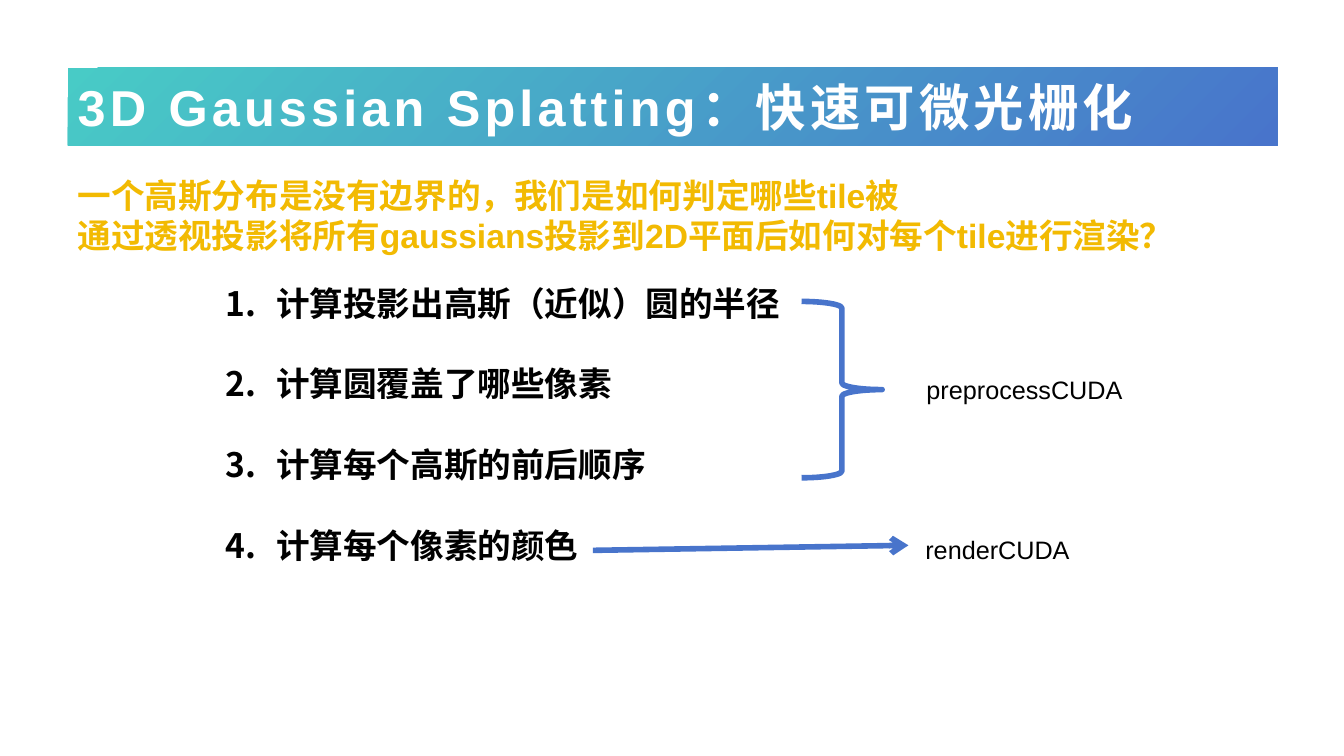
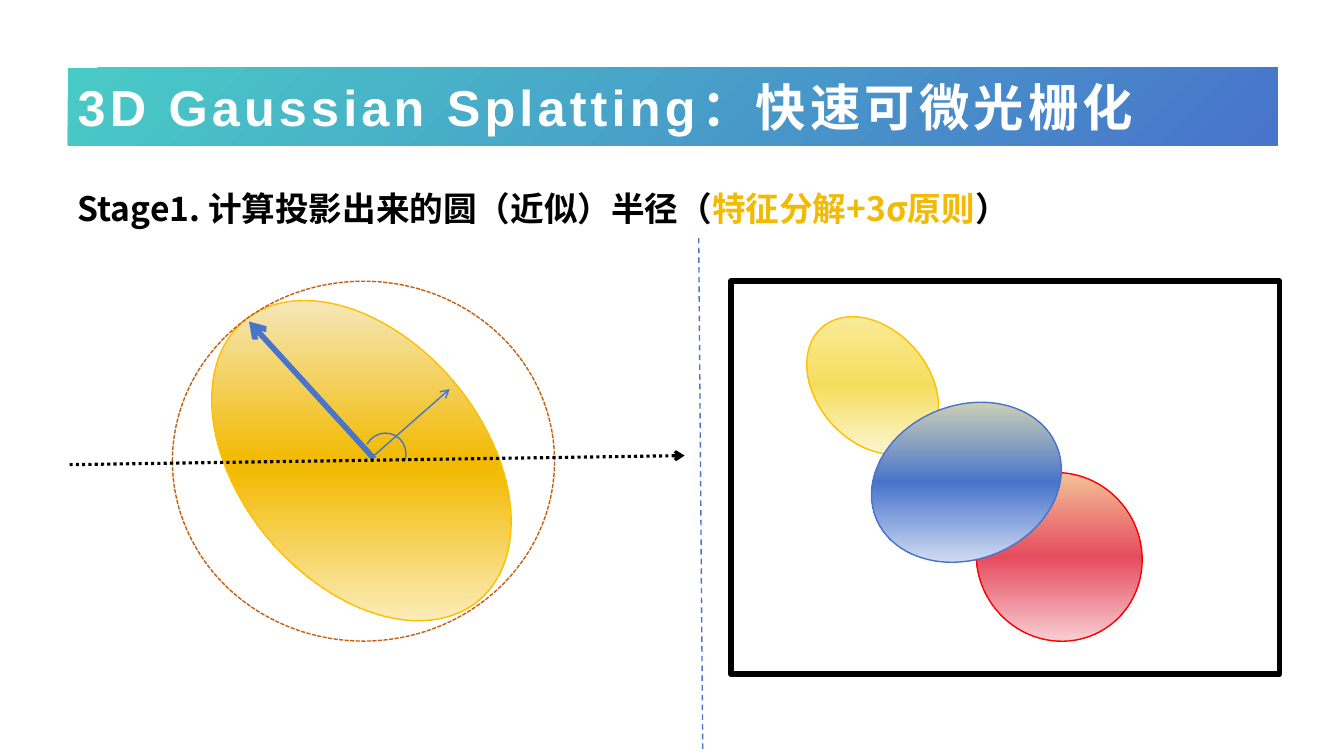
"""Build two slides on fast differentiable rasterization in 3D Gaussian Splatting."""
import pptx
import pptx.util
import lxml.etree
from pptx.dml.color import RGBColor
from pptx.enum.dml import MSO_LINE
from pptx.enum.shapes import MSO_CONNECTOR, MSO_SHAPE
from pptx.enum.text import MSO_ANCHOR, PP_ALIGN
from pptx.oxml.ns import qn
from pptx.util import Inches, Pt

BLACK = RGBColor(0x00, 0x00, 0x00)
WHITE = RGBColor(0xFF, 0xFF, 0xFF)
BLUE = RGBColor(0x48, 0x74, 0xCB)
TEAL = RGBColor(0x48, 0xCB, 0xC6)
GOLD = RGBColor(0xF2, 0xBA, 0x02)
AMBER = RGBColor(0xFF, 0xC0, 0x00)
RED = RGBColor(0xFF, 0x00, 0x00)
ROSE = RGBColor(0xE5, 0x4C, 0x5E)
BROWN = RGBColor(0xC6, 0x5F, 0x10)
CREAM = RGBColor(0xFA, 0xEF, 0xAE)
LEMON = RGBColor(0xF5, 0xDE, 0x5D)
MIST = RGBColor(0xF6, 0xF8, 0xFC)

LATIN = "Arial"
CHINESE = "Noto Sans CJK SC"
TITLE = "3D Gaussian Splatting：快速可微光栅化"
TITLE_FORMAT = {"size": Pt(36), "bold": True, "name": LATIN}
BODY_FORMAT = {"size": Pt(24), "bold": True, "name": LATIN}
STAGE_FORMAT = {"size": Pt(24), "bold": True, "name": CHINESE}
LABEL_FORMAT = {"size": Pt(18), "bold": False, "name": LATIN}


def write_spans(para, spans, text_format):
    """Add coloured spans of text to a paragraph."""
    for text, color in spans:
        span = para.add_run()
        span.text = text
        for key, value in text_format.items():
            setattr(span.font, key, value)
        span.font.color.rgb = color
        east_asian = lxml.etree.SubElement(span.font._element, qn("a:ea"))
        east_asian.set("typeface", CHINESE)


def fill_gradient(shape, stops, angle):
    """Fill a shape with a linear gradient that ignores its rotation."""
    gradient = lxml.etree.SubElement(shape._element.spPr, qn("a:gradFill"), rotWithShape="0")
    stop_list = lxml.etree.SubElement(gradient, qn("a:gsLst"))
    for percent, color in stops:
        stop = lxml.etree.SubElement(stop_list, qn("a:gs"), pos=str(percent * 1000))
        lxml.etree.SubElement(stop, qn("a:srgbClr"), val=str(color))
    lxml.etree.SubElement(gradient, qn("a:lin"), ang=str(angle * 60000), scaled="0")


deck = pptx.Presentation()
deck.slide_width = Inches(13.33)
deck.slide_height = Inches(7.5)

pages = []
for _ in range(2):
    page = deck.slides.add_slide(deck.slide_layouts[5])
    title = page.shapes.title
    title.left, title.top = Inches(0.67), Inches(0.67)
    title.width, title.height = Inches(12), Inches(0.77)
    fill_gradient(title, [(0, TEAL), (100, BLUE)], 45)
    title.text_frame.vertical_anchor = MSO_ANCHOR.MIDDLE
    para = title.text_frame.paragraphs[0]
    para.alignment = PP_ALIGN.LEFT
    write_spans(para, [(TITLE, WHITE)], TITLE_FORMAT)
    para.runs[0].font._element.set("spc", "300")
    pages.append(page)
overview, stage = pages

questions = [
    [("一个高斯分布是没有边界的，我们是如何判定哪些tile被", GOLD)],
    [("通过透视投影将所有gaussians投影到2D平面后如何对每个tile进行渲染？", GOLD)],
]
steps = [
    [("计算投影出高斯（近似）圆的半径", BLACK)],
    [("计算圆覆盖了哪些像素", BLACK)],
    [("计算每个高斯的前后顺序", BLACK)],
    [("计算每个像素的颜色", BLACK)],
]
stage_heading = [[
    ("Stage1. 计算投影出来的圆（近似）半径（", BLACK),
    ("特征分解+3σ原则", GOLD),
    ("）", BLACK),
]]
texts = [
    (overview, (0.67, 1.68, 11.86, 0.91), questions, BODY_FORMAT, 29),
    (overview, (2.14, 2.75, 9.2, 3.56), steps, BODY_FORMAT, 29),
    (overview, (9.09, 3.66, 2.92, 0.4), [[("preprocessCUDA", BLACK)]], LABEL_FORMAT, None),
    (overview, (9.08, 5.25, 2.13, 0.4), [[("renderCUDA", BLACK)]], LABEL_FORMAT, None),
    (stage, (0.67, 1.81, 9.68, 0.5), stage_heading, STAGE_FORMAT, 29),
]
for page, place, lines, text_format, spacing in texts:
    box = page.shapes.add_textbox(*map(Inches, place))
    frame = box.text_frame
    frame.word_wrap = True
    for index, spans in enumerate(lines):
        para = frame.add_paragraph() if index else frame.paragraphs[0]
        if spacing:
            para.line_spacing = Pt(spacing)
        if lines is steps:
            if index:
                para.space_before = Pt(28.8)
            properties = para._p.get_or_add_pPr()
            properties.set("marL", str(Inches(0.5)))
            properties.set("indent", str(-Inches(0.5)))
            lxml.etree.SubElement(properties, qn("a:buFont"), typeface=CHINESE)
            lxml.etree.SubElement(properties, qn("a:buAutoNum"), type="arabicPeriod")
        write_spans(para, spans, text_format)

yellow_stops = [(0, CREAM), (50, LEMON), (100, WHITE)]
red_stops = [(0, CREAM), (50, ROSE), (100, WHITE)]
blue_stops = [(0, CREAM), (50, BLUE), (100, WHITE)]
gold_stops = [(0, MIST), (50, GOLD), (52, GOLD), (100, WHITE)]
outlines = [
    (overview, MSO_SHAPE.RIGHT_BRACE, (7.95, 2.99, 0.8, 1.75), 0, None, BLUE, 4, None),
    (stage, MSO_SHAPE.RECTANGLE, (7.25, 2.79, 5.44, 3.9), 0, None, BLACK, 4, None),
    (stage, MSO_SHAPE.OVAL, (7.89, 3.27, 1.53, 1.11), 49, yellow_stops, AMBER, 1, None),
    (stage, MSO_SHAPE.OVAL, (9.69, 4.68, 1.63, 1.69), 328, red_stops, RED, 1, None),
    (stage, MSO_SHAPE.OVAL, (8.82, 3.82, 1.53, 1.93), 69, blue_stops, BLUE, 1, None),
    (stage, MSO_SHAPE.OVAL, (2.38, 2.76, 2.41, 3.62), 320, gold_stops, AMBER, 1, None),
    (stage, MSO_SHAPE.ARC, (3.61, 4.3, 0.42, 0.41), 299, None, BLUE, 1, None),
    (stage, MSO_SHAPE.OVAL, (1.71, 2.79, 3.79, 3.57), 0, None, BROWN, 1, MSO_LINE.SQUARE_DOT),
]
for page, kind, place, rotation, stops, color, width, dash in outlines:
    shape = page.shapes.add_shape(kind, *map(Inches, place))
    shape.rotation = rotation
    if stops:
        fill_gradient(shape, stops, 90)
    else:
        shape.fill.background()
    shape.line.color.rgb = color
    shape.line.width = Pt(width)
    shape.line.dash_style = dash
    shape.shadow.inherit = False
    if kind == MSO_SHAPE.ARC:
        shape.adjustments[1] = 46.61

connectors = [
    (overview, (5.88, 5.46, 9.01, 5.41), BLUE, 4, None, True),
    (stage, (3.71, 4.55, 2.47, 3.19), BLUE, 4, None, True),
    (stage, (3.71, 4.52, 4.46, 3.86), BLUE, 1, None, True),
    (stage, (0.69, 4.61, 6.79, 4.52), BLACK, 2.25, MSO_LINE.ROUND_DOT, True),
    (stage, (6.93, 2.36, 6.97, 7.43), BLUE, 1, MSO_LINE.DASH, False),
]
for page, ends, color, width, dash, has_arrow in connectors:
    connector = page.shapes.add_connector(MSO_CONNECTOR.STRAIGHT, *map(Inches, ends))
    connector.line.color.rgb = color
    connector.line.width = Pt(width)
    connector.line.dash_style = dash
    if has_arrow:
        lxml.etree.SubElement(connector.line._get_or_add_ln(), qn("a:tailEnd"), type="arrow")
    lxml.etree.SubElement(connector._element.spPr, qn("a:effectLst"))

deck.save("out.pptx")
